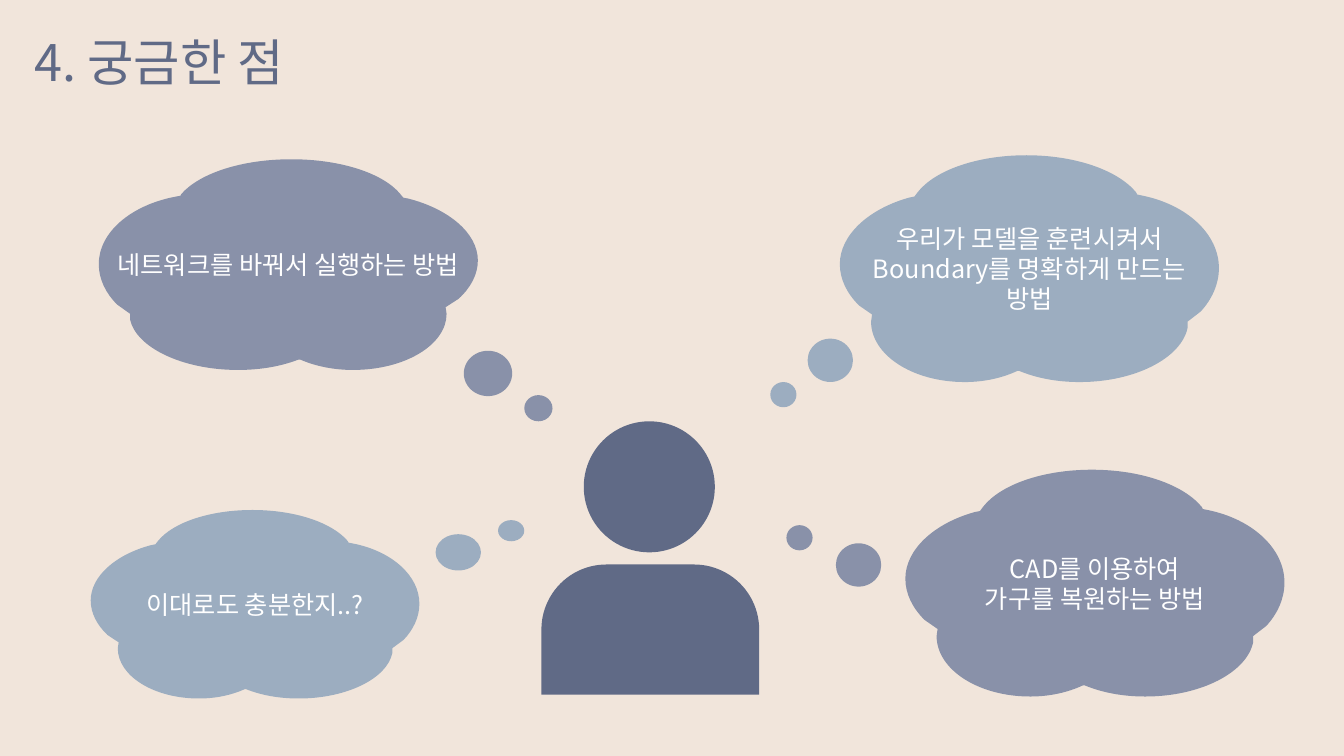
"""Builds the open-questions slide: a person surrounded by four thought clouds."""
from lxml import etree
from pptx import Presentation
from pptx import util as u
from pptx.dml.color import RGBColor
from pptx.enum import shapes, text
from pptx.oxml.ns import qn

FONT = "Noto Sans CJK KR"
CREAM, NAVY, VIOLET, STEEL, WHITE = "F1E5DB", "606A86", "8991A9", "9CADC0", "FFFFFF"
SLIDE = (13.33, 7.5)
TITLE = "4. 궁금한 점"

THOUGHTS = [
    (["우리가 모델을 훈련시켜서 Boundary를 명확하게 만드는 방법"], STEEL, False,
     (8.33, 1.54, 3.76, 2.25), [(8.01, 3.36, 0.45, 0.43), (7.64, 3.79, 0.26, 0.25)]),
    (["네트워크를 바꿔서 실행하는 방법"], VIOLET, True,
     (0.98, 1.58, 3.76, 2.09), [(4.6, 3.48, 0.48, 0.45), (5.2, 3.92, 0.28, 0.26)]),
    (["CAD를 이용하여", "가구를 복원하는 방법"], VIOLET, False,
     (8.98, 4.66, 3.76, 2.25), [(8.29, 5.39, 0.45, 0.43), (7.8, 5.21, 0.26, 0.25)]),
    (["이대로도 충분한지..?"], STEEL, False,
     (0.9, 5.06, 3.26, 1.87), [(4.32, 5.3, 0.45, 0.36), (4.94, 5.16, 0.26, 0.21)]),
]

CLOUD_SIZE = (376, 225)
CLOUD_START = (185, 0)
CLOUD_PARTS = [
    [(234, 0), (276, 15), (294, 37)], [(295, 39)], [(300, 40)],
    [(344, 49), (376, 78), (376, 112)], [(376, 128), (369, 143), (358, 155)],
    [(345, 165)], [(345, 171)],
    [(339, 201), (293, 225), (238, 225)], [(215, 225), (195, 221), (178, 214)],
    [(177, 214)], [(176, 214)],
    [(161, 221), (143, 225), (124, 225)], [(72, 225), (31, 198), (31, 165)],
    [(32, 158)], [(19, 149)],
    [(7, 137), (0, 123), (0, 108)], [(0, 79), (29, 53), (69, 42)],
    [(74, 41)], [(77, 37)], [(94, 15), (136, 0), (185, 0)],
]


def color(value):
    return RGBColor.from_string(value)


def paint(shape, fill):
    shape.fill.solid()
    shape.fill.fore_color.rgb = color(fill)
    shape.line.fill.background()
    shape.shadow.inherit = False
    return shape


def add_preset(slide, kind, box, fill):
    return paint(slide.shapes.add_shape(kind, *map(u.Inches, box)), fill)


def write(frame, lines, size, ink, align):
    frame.word_wrap = True
    for index, line in enumerate(lines):
        paragraph = frame.add_paragraph() if index else frame.paragraphs[0]
        paragraph.text = line
        paragraph.alignment = align
        font = paragraph.font
        font.size, font.name = u.Pt(size), FONT
        font.color.rgb = color(ink)
        defaults = paragraph._p.pPr.find(qn("a:defRPr"))
        defaults.set("kern", "0")
        etree.SubElement(defaults, qn("a:ea")).set("typeface", FONT)


def add_cloud(slide, box, fill, mirrored):
    left, top, width, height = box
    points = []
    for x, y in [CLOUD_START, *(point for part in CLOUD_PARTS for point in part)]:
        share = x / CLOUD_SIZE[0]
        share = 1 - share if mirrored else share
        points.append((u.Inches(left + share * width),
                       u.Inches(top + y / CLOUD_SIZE[1] * height)))
    builder = slide.shapes.build_freeform(*points[0])
    builder.add_line_segments(points[1:], close=False)
    cloud = builder.convert_to_shape()
    outline = next(cloud._element.iter(qn("a:path")))
    steps = iter(outline.findall(qn("a:lnTo")))
    for part in CLOUD_PARTS:
        tag = "a:cubicBezTo" if len(part) == 3 else "a:lnTo"
        segment = etree.SubElement(outline, qn(tag))
        for _ in part:
            step = next(steps)
            segment.append(step[0])
            outline.remove(step)
    etree.SubElement(outline, qn("a:close"))
    return paint(cloud, fill)


def main():
    deck = Presentation()
    deck.slide_width, deck.slide_height = map(u.Inches, SLIDE)
    slide = deck.slides.add_slide(deck.slide_layouts[6])

    add_preset(slide, shapes.MSO_SHAPE.RECTANGLE, (0, 0, *SLIDE), CREAM)
    add_preset(slide, shapes.MSO_SHAPE.OVAL, (5.79, 4.18, 1.3, 1.3), NAVY)
    body = add_preset(slide, shapes.MSO_SHAPE.ROUND_2_SAME_RECTANGLE,
                      (5.37, 5.6, 2.16, 1.29), NAVY)
    body.adjustments[0] = 0.5

    for lines, fill, mirrored, box, bubbles in THOUGHTS:
        cloud = add_cloud(slide, box, fill, mirrored)
        cloud.text_frame.vertical_anchor = text.MSO_ANCHOR.MIDDLE
        write(cloud.text_frame, lines, 18, WHITE, text.PP_ALIGN.CENTER)
        for bubble in bubbles:
            add_preset(slide, shapes.MSO_SHAPE.OVAL, bubble, fill)

    title = slide.shapes.add_textbox(*map(u.Inches, (0.24, 0.26, 7.13, 0.71)))
    write(title.text_frame, [TITLE], 36, NAVY, text.PP_ALIGN.LEFT)
    deck.save("out.pptx")


if __name__ == "__main__":
    main()
